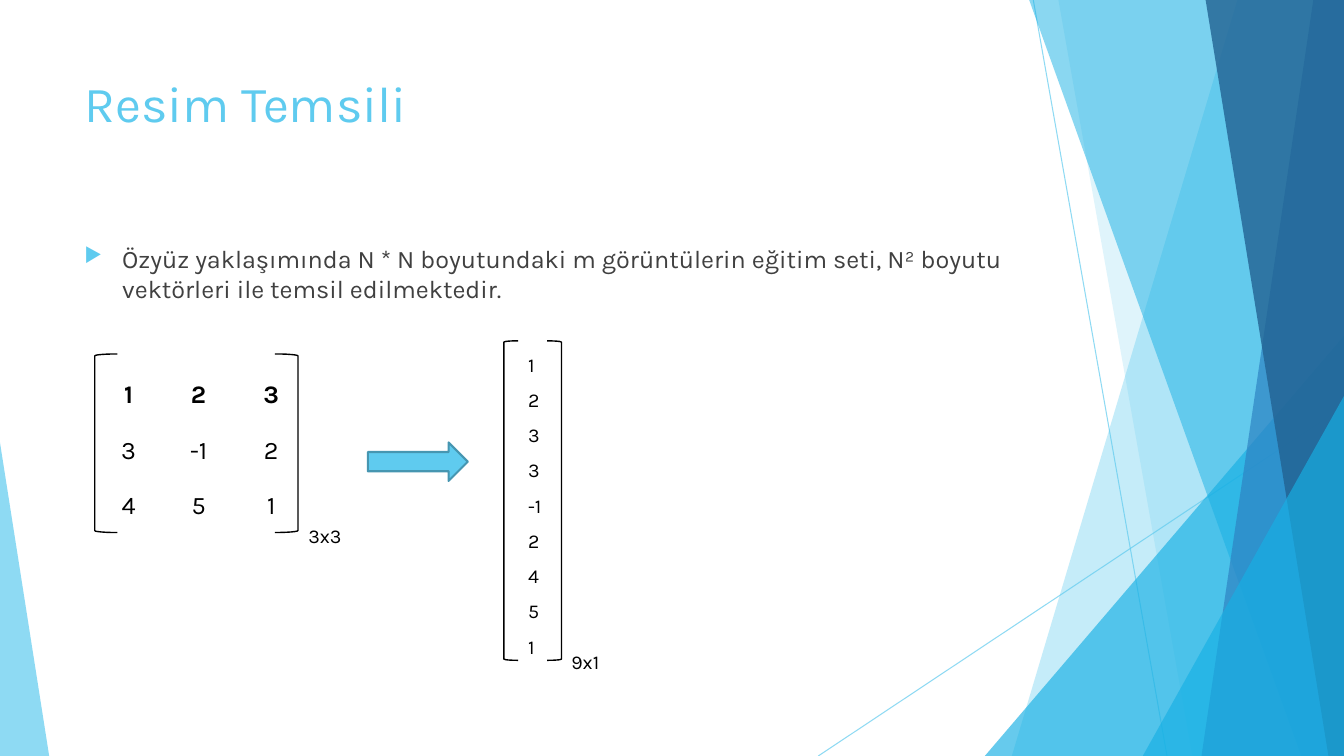
"""Build the slide "Resim Temsili": a 3x3 matrix unrolled into a 9x1 vector."""
from lxml import etree
from pptx import Presentation
from pptx.dml.color import RGBColor
from pptx.enum.shapes import MSO_CONNECTOR, MSO_SHAPE
from pptx.enum.text import MSO_ANCHOR, MSO_AUTO_SIZE, PP_ALIGN
from pptx.oxml.ns import qn
from pptx.util import Cm, Pt

SKY = RGBColor(0x5F, 0xCB, 0xEF)
CYAN = RGBColor(0x17, 0xB0, 0xE4)
BLUE = RGBColor(0x2E, 0x83, 0xC3)
NAVY = RGBColor(0x22, 0x62, 0x92)
ARROW_EDGE = RGBColor(0x46, 0x96, 0xB1)
GREY = RGBColor(0x40, 0x40, 0x40)
BLACK = RGBColor(0, 0, 0)
WHITE = RGBColor(0xFF, 0xFF, 0xFF)
FONT = "Karla"
WIDTH, HEIGHT = 33.87, 19.05


def write_text(frame, text, size=14, color=BLACK, bold=False, align=PP_ALIGN.LEFT, spacing=None):
    for index, line in enumerate(text.split("\n")):
        paragraph = frame.add_paragraph() if index else frame.paragraphs[0]
        paragraph.alignment = align
        paragraph.line_spacing = spacing
        run = paragraph.add_run()
        run.text = line
        run.font.name = FONT
        run.font.size = Pt(size)
        run.font.bold = bold
        run.font.color.rgb = color


def set_opacity(element, percent):
    color = element.find(".//" + qn("a:srgbClr"))
    etree.SubElement(color, qn("a:alpha"), val=str(percent * 1000))


presentation = Presentation()
presentation.slide_width, presentation.slide_height = Cm(WIDTH), Cm(HEIGHT)
slide = presentation.slides.add_slide(presentation.slide_layouts[6])
shapes = slide.shapes

for ends in [(26.04, 0, 29.41, HEIGHT), (WIDTH, 10.24, 20.62, HEIGHT)]:
    line = shapes.add_connector(MSO_CONNECTOR.STRAIGHT, *map(Cm, ends))
    line.line.color.rgb = SKY
    line.line.width = Pt(0.75)
    set_opacity(line.line._ln, 70)
    etree.SubElement(line._element.spPr, qn("a:effectLst"))

# Bands are (top x, bottom x); triangles are (left, top, right, apex).
facets = [
    ((31.19, 25.5), SKY, 36),
    ((26.67, 30.05), SKY, 20),
    ((24.82, 8.46, WIDTH, 1), CYAN, 66),
    ((25.93, 32.79), CYAN, 50),
    ((33.1, 30.28), BLUE, 70),
    ((30.38, 33.48), NAVY, 80),
    ((28.8, 9.98, WIDTH, 1), CYAN, 66),
    ((0, 11.15, 1.24, 0), SKY, 70),
]
for outline, color, opacity in facets:
    if len(outline) == 2:
        top_x, bottom_x = outline
        builder = shapes.build_freeform(Cm(top_x), Cm(-0.02))
        corners = [(WIDTH, -0.02), (WIDTH, HEIGHT), (bottom_x, HEIGHT)]
        builder.add_line_segments([(Cm(x), Cm(y)) for x, y in corners], close=True)
        facet = builder.convert_to_shape()
    else:
        left, top, right, apex = outline
        facet = shapes.add_shape(MSO_SHAPE.ISOSCELES_TRIANGLE, Cm(left), Cm(top),
                                 Cm(right - left), Cm(HEIGHT - top))
        facet.adjustments[0] = apex
    facet.shadow.inherit = False
    facet.fill.solid()
    facet.fill.fore_color.rgb = color
    set_opacity(facet._element.spPr, opacity)
    facet.line.fill.background()

title = shapes.add_textbox(Cm(1.88), Cm(1.7), Cm(23.88), Cm(3.66)).text_frame
title.word_wrap = True
write_text(title, "Resim Temsili", size=36, color=SKY)

body = shapes.add_textbox(Cm(1.88), Cm(6), Cm(23.88), Cm(10.77)).text_frame
body.word_wrap = True
write_text(body, "Özyüz yaklaşımında N * N boyutundaki m görüntülerin eğitim seti, "
           "N² boyutu vektörleri ile temsil edilmektedir.", size=18, color=GREY)
properties = body.paragraphs[0]._p.get_or_add_pPr()
properties.set("marL", str(Cm(0.95)))
properties.set("indent", str(Cm(-0.95)))
bullet_color = etree.SubElement(properties, qn("a:buClr"))
etree.SubElement(bullet_color, qn("a:srgbClr"), val=str(SKY))
etree.SubElement(properties, qn("a:buSzPct"), val="80000")
etree.SubElement(properties, qn("a:buChar"), char="▶")

matrix = [["1", "2", "3"], ["3", "-1", "2"], ["4", "5", "1"]]
table = shapes.add_table(3, 3, Cm(2.39), Cm(9.09), Cm(5.36), Cm(3.9)).table
for column, width in zip(table.columns, (1.7, 1.83, 1.83)):
    column.width = Cm(width)
for row_index, values in enumerate(matrix):
    for column_index, value in enumerate(values):
        cell = table.cell(row_index, column_index)
        cell.fill.solid()
        cell.fill.fore_color.rgb = WHITE
        write_text(cell.text_frame, value, size=18, bold=row_index == 0,
                   align=PP_ALIGN.CENTER, spacing=1.5)

brackets = [
    (MSO_SHAPE.LEFT_BRACKET, 2.39, 8.92, 0.57, 4.5),
    (MSO_SHAPE.RIGHT_BRACKET, 6.93, 8.92, 0.58, 4.5),
    (MSO_SHAPE.LEFT_BRACKET, 12.7, 8.59, 0.36, 8.05),
    (MSO_SHAPE.RIGHT_BRACKET, 13.79, 8.59, 0.36, 8.05),
]
for kind, *box in brackets:
    bracket = shapes.add_shape(kind, *map(Cm, box))
    bracket.shadow.inherit = False
    bracket.fill.background()
    bracket.line.color.rgb = BLACK
    bracket.line.width = Pt(1)

arrow = shapes.add_shape(MSO_SHAPE.RIGHT_ARROW, Cm(9.27), Cm(11.15), Cm(2.52), Cm(0.97))
arrow.shadow.inherit = False
arrow.fill.solid()
arrow.fill.fore_color.rgb = SKY
arrow.line.color.rgb = ARROW_EDGE
arrow.line.width = Pt(1.5)

vector = "\n".join(value for values in matrix for value in values)
labels = [
    ("3x3", (7.52, 13.08, 1.78, 0.86), True, None),
    (vector, (13.06, 8.46, 0.97, 8.33), False, 1.5),
    ("9x1", (14.15, 16.26, 1.78, 0.86), True, None),
]
for text, box, wrap, spacing in labels:
    frame = shapes.add_textbox(*map(Cm, box)).text_frame
    frame.word_wrap = wrap
    frame.auto_size = MSO_AUTO_SIZE.SHAPE_TO_FIT_TEXT
    frame.vertical_anchor = MSO_ANCHOR.TOP
    write_text(frame, text, spacing=spacing)

presentation.save("out.pptx")
